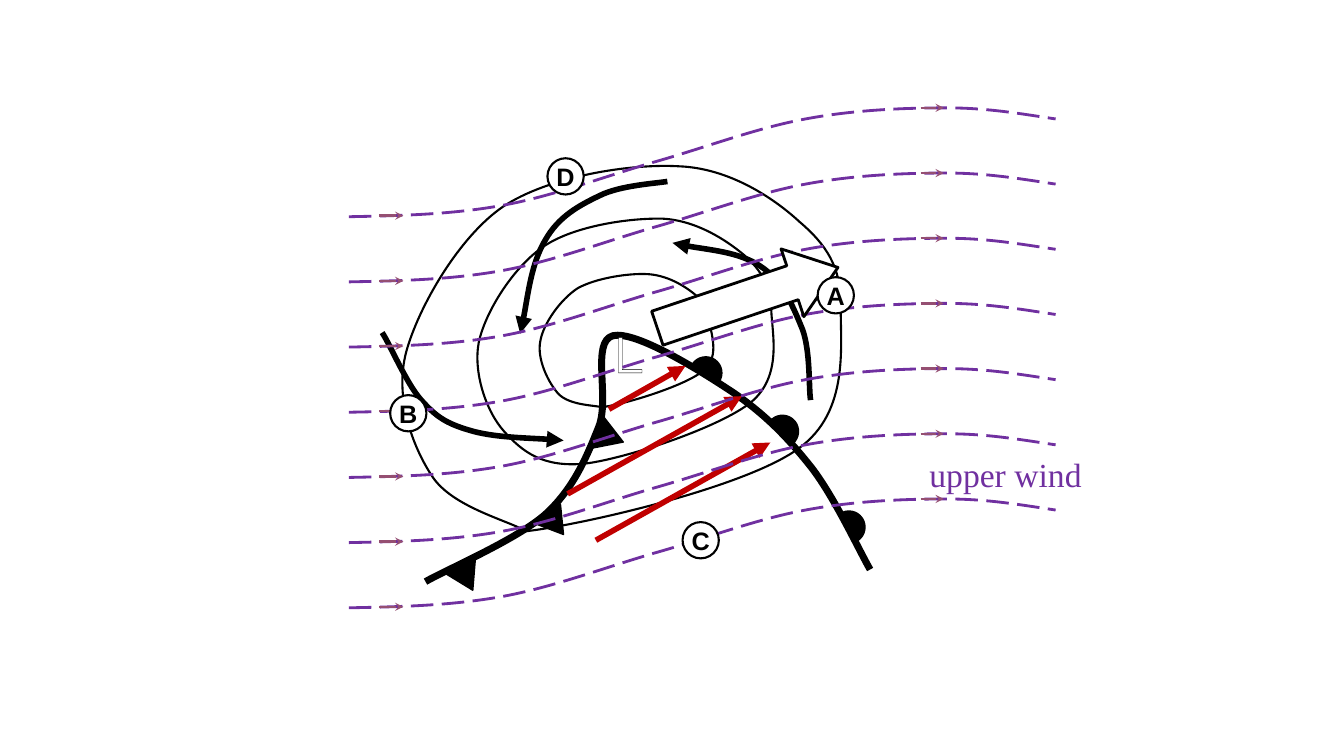
import math

import pptx
import pptx.dml.color
import pptx.enum.dml
import pptx.enum.shapes
import pptx.enum.text
import pptx.oxml
import pptx.oxml.ns
import pptx.util
from pptx.oxml.ns import qn

BLACK, WHITE, RED, PURPLE, PLUM = "000000", "FFFFFF", "C00000", "7030A0", "954F72"

FRONT = [(4.22, 5.77), (4.41, 5.66), (5.11, 5.36), (5.4, 5.11), (5.69, 4.85), (5.82, 4.53),
         (5.94, 4.23), (6.05, 3.94), (5.86, 3.39), (6.08, 3.33), (6.31, 3.28), (6.95, 3.68),
         (7.28, 3.9), (7.6, 4.12), (7.82, 4.35), (8.05, 4.64), (8.28, 4.94), (8.51, 5.44),
         (8.63, 5.65)]
ISOBARS = [
    [(5.97, 4.04), (6.21, 4.01), (6.78, 3.83), (6.96, 3.69), (7.14, 3.56), (7.06, 3.34),
     (7.04, 3.21), (7.03, 3.09), (6.99, 3), (6.89, 2.92), (6.78, 2.83), (6.61, 2.73),
     (6.42, 2.72), (6.23, 2.71), (5.91, 2.76), (5.73, 2.86), (5.56, 2.97), (5.39, 3.21),
     (5.36, 3.38), (5.32, 3.56), (5.44, 3.8), (5.54, 3.91), (5.65, 4.02), (5.88, 4.02),
     (5.97, 4.04)],
    [(5.8, 4.6), (6.21, 4.55), (7.14, 4.24), (7.45, 3.99), (7.76, 3.73), (7.66, 3.32),
     (7.65, 3.08), (7.64, 2.84), (7.56, 2.69), (7.38, 2.53), (7.2, 2.38), (6.91, 2.19),
     (6.58, 2.17), (6.25, 2.16), (5.7, 2.24), (5.4, 2.44), (5.1, 2.64), (4.82, 3.08),
     (4.75, 3.39), (4.69, 3.69), (4.82, 4.08), (5, 4.28), (5.18, 4.48), (5.38, 4.64),
     (5.8, 4.6)],
    [(5.22, 5.27), (5.81, 5.2), (7.4, 4.83), (7.92, 4.45), (8.44, 4.08), (8.33, 3.4),
     (8.34, 3.02), (8.34, 2.65), (8.2, 2.43), (7.93, 2.2), (7.67, 1.96), (7.23, 1.67),
     (6.74, 1.65), (6.25, 1.62), (5.44, 1.75), (4.99, 2.05), (4.55, 2.35), (4.15, 3.05),
     (4.03, 3.49), (3.91, 3.94), (4.09, 4.43), (4.29, 4.73), (4.49, 5.03), (5.03, 5.16),
     (5.22, 5.27)],
]
SURFACE_WINDS = [
    [(8.04, 3.97), (8.02, 3.85), (8.04, 3.49), (7.96, 3.27), (7.87, 3.05), (7.76, 2.78),
     (7.54, 2.64), (7.33, 2.5), (6.85, 2.46), (6.67, 2.41)],
    [(6.62, 1.8), (6.5, 1.82), (6.15, 1.84), (5.95, 1.94), (5.74, 2.04), (5.54, 2.15),
     (5.41, 2.38), (5.27, 2.61), (5.21, 3.12), (5.16, 3.31)],
    [(3.79, 3.3), (3.86, 3.4), (4.03, 3.8), (4.17, 3.96), (4.32, 4.13), (4.42, 4.2),
     (4.66, 4.27), (4.89, 4.34), (5.4, 4.35), (5.59, 4.37)],
]
UPPER_WIND = [(3.46, 1.08), (3.96, 1.07), (4.46, 1.06), (4.97, 0.97), (5.47, 0.88),
              (5.97, 0.69), (6.48, 0.54), (6.98, 0.4), (7.5, 0.2), (7.99, 0.11),
              (8.47, 0.02), (8.97, 0), (9.39, 0), (9.8, 0), (10.13, 0.06), (10.47, 0.11)]
UPPER_WIND_TOP, UPPER_WIND_BOTTOM, UPPER_WIND_COUNT = 1.07, 4.95, 7
FLOW_ARROWS = [((3.76, 1.07), (4, 1.07)), ((9.13, 0), (9.36, 0))]
WARM_WINDS = [((5.63, 4.9), (7.36, 3.93)), ((5.91, 5.36), (7.64, 4.39)),
              ((6.04, 4.06), (6.8, 3.63))]
COLD_MARKS = [(4.47, 5.61, 153.1), (5.35, 5.07, 142.6), (5.9, 4.21, 110.6)]
WARM_MARKS = [(7, 3.7, 34), (7.76, 4.28, 49.7), (8.42, 5.23, 56.3)]
WARM_MARK_RADIUS = 0.16
STATIONS = [("A", 8.11, 2.75), ("B", 3.87, 3.92), ("C", 6.77, 5.18), ("D", 5.43, 1.57)]

SHAPES = pptx.enum.shapes.MSO_SHAPE


def length(inches):
    return pptx.util.Cm(inches * 2.54)


def rgb(color):
    return pptx.dml.color.RGBColor.from_string(color)


def draw_line(line, color, width, arrow=None):
    line.color.rgb = rgb(color)
    line.width = pptx.util.Pt(width)
    if arrow:
        pptx.oxml.ns
        tail = line._get_or_add_ln().makeelement(qn("a:tailEnd"), {"type": arrow})
        line._get_or_add_ln().append(tail)


def add_curve(slide, points, color, width, closed=False, fill=None, arrow=None):
    start, *rest = [(length(x), length(y)) for x, y in points]
    builder = slide.shapes.build_freeform(*start)
    builder.add_line_segments(rest, close=closed)
    shape = builder.convert_to_shape()
    path_element = next(shape._element.iter(qn("a:path")))
    segments = path_element.findall(qn("a:lnTo"))
    for index in range(0, len(segments), 3):
        bezier = path_element.makeelement(qn("a:cubicBezTo"))
        segments[index].addprevious(bezier)
        for segment in segments[index:index + 3]:
            bezier.append(segment[0])
            path_element.remove(segment)
    shape.shadow.inherit = False
    if fill:
        shape.fill.solid()
        shape.fill.fore_color.rgb = rgb(fill)
    else:
        shape.fill.background()
    draw_line(shape.line, color, width, arrow)
    return shape


def add_arrow(slide, start, end, color, width, arrow):
    ends = [length(value) for value in (*start, *end)]
    connector = slide.shapes.add_connector(pptx.enum.shapes.MSO_CONNECTOR.STRAIGHT, *ends)
    draw_line(connector.line, color, width, arrow)
    properties = connector._element.spPr
    properties.append(properties.makeelement(qn("a:effectLst")))


def add_preset(slide, kind, box, fill, width, rotation=0):
    shape = slide.shapes.add_shape(kind, *[length(value) for value in box])
    shape.shadow.inherit = False
    shape.rotation = rotation
    shape.fill.solid()
    shape.fill.fore_color.rgb = rgb(fill)
    draw_line(shape.line, BLACK, width)
    return shape


def add_run(frame, text, size, font, color, bold=False):
    frame.word_wrap = False
    run = frame.paragraphs[0].add_run()
    run.text = text
    run.font.size = pptx.util.Pt(size)
    run.font.name = font
    run.font.bold = bold
    run.font.color.rgb = rgb(color)
    return run


def add_label(slide, box, *style):
    text_box = slide.shapes.add_textbox(*[length(value) for value in box])
    return add_run(text_box.text_frame, *style)


def half_disc(x, y, angle):
    cosine, sine = math.cos(math.radians(angle)), math.sin(math.radians(angle))
    bend = 0.55
    arc = [(-1, 0), (-1, bend), (-bend, 1), (0, 1), (bend, 1), (1, bend), (1, 0)]
    return [(x + WARM_MARK_RADIUS * (along * cosine + out * sine),
             y + WARM_MARK_RADIUS * (along * sine - out * cosine)) for along, out in arc]


def main():
    presentation = pptx.Presentation()
    presentation.slide_width = length(13.33)
    presentation.slide_height = length(7.5)
    slide = presentation.slides.add_slide(presentation.slide_layouts[6])

    add_curve(slide, FRONT, BLACK, 5)
    for x, y, angle in COLD_MARKS:
        add_preset(slide, SHAPES.ISOSCELES_TRIANGLE, (x, y, 0.32, 0.26), BLACK, 1, angle)
    for mark in WARM_MARKS:
        add_curve(slide, half_disc(*mark), BLACK, 1, closed=True, fill=BLACK)
    for isobar in ISOBARS:
        add_curve(slide, isobar, BLACK, 1.5, closed=True)

    low = add_label(slide, (5.98, 3.15, 0.5, 0.7), "L", 36, "Montserrat", WHITE)
    low_properties = low.font._element
    outline = pptx.oxml.parse_xml(
        '<a:ln xmlns:a="http://schemas.openxmlformats.org/drawingml/2006/main" w="25400">'
        f'<a:solidFill><a:srgbClr val="{BLACK}"/></a:solidFill></a:ln>')
    low_properties.insert(0, outline)

    for start, end in WARM_WINDS:
        add_arrow(slide, start, end, RED, 4, "triangle")
    for wind in SURFACE_WINDS:
        add_curve(slide, wind, BLACK, 4, arrow="triangle")

    gap = (UPPER_WIND_BOTTOM - UPPER_WIND_TOP) / (UPPER_WIND_COUNT - 1)
    for row in range(UPPER_WIND_COUNT):
        top = UPPER_WIND_TOP + row * gap
        wave = add_curve(slide, [(x, top + y) for x, y in UPPER_WIND], PURPLE, 2)
        wave.line.dash_style = pptx.enum.dml.MSO_LINE.LONG_DASH
        for (x1, y1), (x2, y2) in FLOW_ARROWS:
            add_arrow(slide, (x1, top + y1), (x2, top + y2), PLUM, 1.75, "stealth")
    add_label(slide, (9.12, 4.45, 1.73, 0.5), "upper wind", 24, "Times New Roman", PURPLE)

    motion = add_preset(slide, SHAPES.RIGHT_ARROW, (6.47, 2.6, 1.89, 0.71), WHITE, 2, 341.4)
    motion.adjustments[1] = 0.67
    for letter, x, y in STATIONS:
        station = add_preset(slide, SHAPES.OVAL, (x, y, 0.36, 0.36), WHITE, 1.5)
        frame = station.text_frame
        frame.margin_left = frame.margin_right = frame.margin_top = frame.margin_bottom = 0
        frame.vertical_anchor = pptx.enum.text.MSO_ANCHOR.MIDDLE
        frame.paragraphs[0].alignment = pptx.enum.text.PP_ALIGN.CENTER
        add_run(frame, letter, 18, "Arial", BLACK, True)

    presentation.save("out.pptx")


if __name__ == "__main__":
    main()
